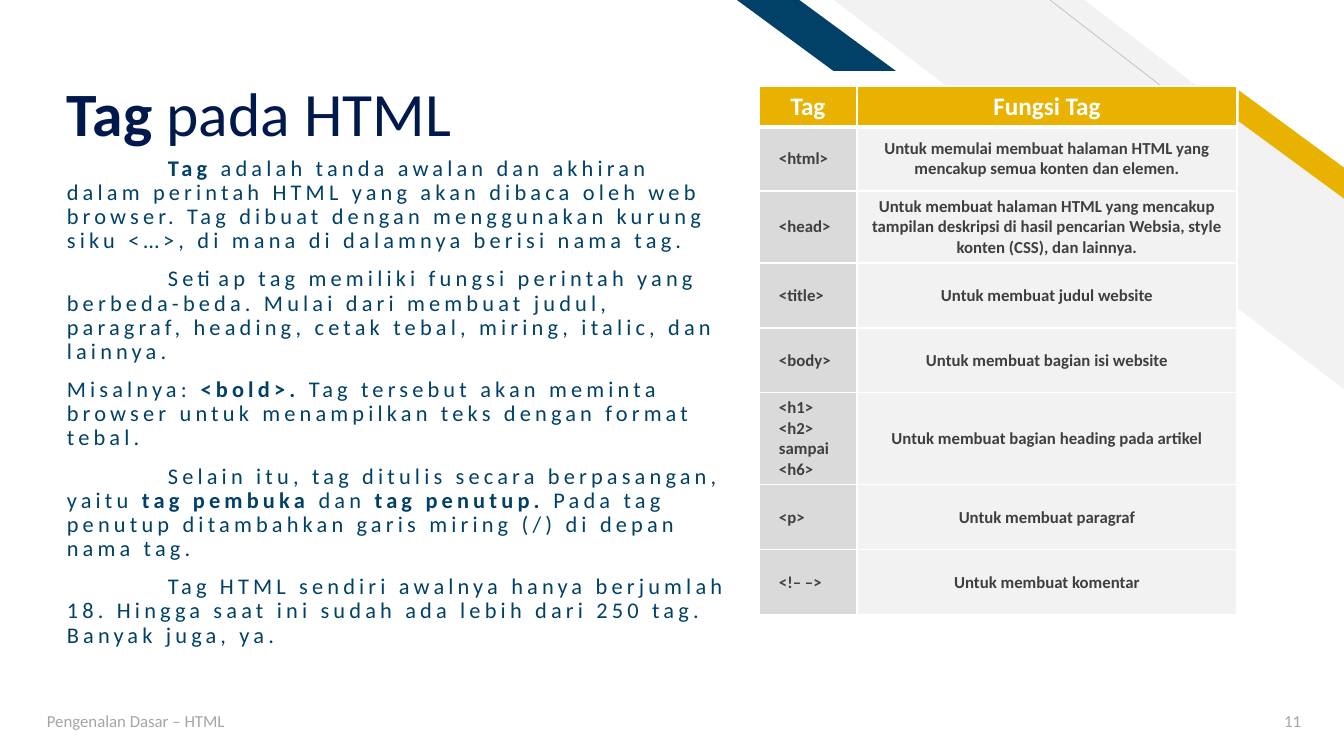
from dataclasses import dataclass

from lxml import etree
from pptx import Presentation
from pptx import util as u
from pptx.dml.color import RGBColor
from pptx.enum import shapes, text
from pptx.oxml.ns import qn

PX = 914400 / 100.8


@dataclass(frozen=True)
class Theme:
    font: str = "Calibri"
    navy: str = "00194C"
    blue: str = "014067"
    gold: str = "EAB200"
    pale: str = "F2F2F2"
    tag_fill: str = "DADADA"
    hairline: str = "BFBFBF"
    cell_text: str = "3F3F3F"
    muted: str = "A5A5A5"
    white: str = "FFFFFF"
    title_size: int = 44
    body_size: int = 16
    head_size: int = 18
    small_size: int = 12


THEME = Theme()
PAGE_SIZE = (1344, 756)
TITLE = [("Tag ", True), ("pada HTML", False)]
BODY = [
    (101, [("Tag ", True),
           ("adalah tanda awalan dan akhiran dalam perintah HTML yang akan dibaca oleh web browser. "
            "Tag dibuat dengan menggunakan kurung siku <…>, di mana di dalamnya berisi nama tag.", False)]),
    (101, [("Setiap tag memiliki fungsi perintah yang berbeda-beda. Mulai dari membuat judul, paragraf, "
            "heading, cetak tebal, miring, italic, dan lainnya.", False)]),
    (0, [("Misalnya: ", False), ("<bold>. ", True),
         ("Tag tersebut akan meminta browser untuk menampilkan teks dengan format tebal.", False)]),
    (101, [("Selain itu, tag ditulis secara berpasangan, yaitu ", False), ("tag pembuka ", True),
           ("dan", False), (" tag penutup. ", True),
           ("Pada tag penutup ditambahkan garis miring (/) di depan nama tag.", False)]),
    (101, [("Tag HTML sendiri awalnya hanya berjumlah 18. Hingga saat ini sudah ada lebih dari 250 tag. "
            "Banyak juga, ya.", False)]),
]
COLUMNS = [98, 380]
ROWS = [
    (41, "Tag", "Fungsi Tag"),
    (64, "<html>", "Untuk memulai membuat halaman HTML yang mencakup semua konten dan elemen."),
    (72, "<head>", "Untuk membuat halaman HTML yang mencakup tampilan deskripsi di hasil pencarian Websia, "
                   "style konten (CSS), dan lainnya."),
    (65, "<title>", "Untuk membuat judul website"),
    (65, "<body>", "Untuk membuat bagian isi website"),
    (92, "<h1> <h2> sampai <h6>", "Untuk membuat bagian heading pada artikel"),
    (65, "<p>", "Untuk membuat paragraf"),
    (65, "<!– –>", "Untuk membuat komentar"),
]
STRIPES = [
    (shapes.MSO_SHAPE.DIAGONAL_STRIPE, (834, 0, 511, 390), 0.51, 0, THEME.pale),
    (shapes.MSO_SHAPE.PARALLELOGRAM, (1217, 132, 149, 25), 0.72, 36.3, THEME.gold),
    (shapes.MSO_SHAPE.PARALLELOGRAM, (737, 0, 159, 71), 1.36, 0, THEME.blue),
]
HAIRLINE = (1187, 106, 1050, 0)
FOOTERS = [
    ("Pengenalan Dasar – HTML", (37, 701, 454, 40), text.PP_ALIGN.LEFT),
    ("11", (1229, 701, 82, 40), text.PP_ALIGN.RIGHT),
]


def emu(*lengths):
    return [u.Emu(round(length * PX)) for length in lengths]


def rgb(value):
    return RGBColor.from_string(value)


def add_span(para, words, size, color, bold=False):
    span = para.add_run()
    span.text = words
    span.font.name = THEME.font
    span.font.size = u.Pt(size)
    span.font.bold = bold
    span.font.color.rgb = rgb(color)
    return span


def add_box(page, place, anchor=text.MSO_ANCHOR.TOP):
    box = page.shapes.add_textbox(*emu(*place))
    box.text_frame.word_wrap = True
    box.text_frame.vertical_anchor = anchor
    return box.text_frame


def add_stripes(page):
    for kind, place, slant, turn, color in STRIPES:
        stripe = page.shapes.add_shape(kind, *emu(*place))
        stripe.adjustments[0] = slant
        stripe.rotation = turn
        stripe._element.spPr.xfrm.set("flipH", "1")
        stripe.shadow.inherit = False
        stripe.fill.solid()
        stripe.fill.fore_color.rgb = rgb(color)
        stripe.line.fill.background()
        if kind == shapes.MSO_SHAPE.DIAGONAL_STRIPE:
            line = page.shapes.add_connector(shapes.MSO_CONNECTOR.STRAIGHT, *emu(*HAIRLINE))
            line.line.color.rgb = rgb(THEME.hairline)
            line.line.width = u.Pt(0.5)
            etree.SubElement(line._element.spPr, qn("a:effectLst"))


def fill_title(title):
    title.left, title.top, title.width, title.height = emu(57, 23, 918, 127)
    frame = title.text_frame
    frame.auto_size = text.MSO_AUTO_SIZE.NONE
    frame.word_wrap = True
    frame.vertical_anchor = text.MSO_ANCHOR.BOTTOM
    frame.margin_left, frame.margin_top, frame.margin_right, frame.margin_bottom = emu(10, 5, 10, 0)
    para = frame.paragraphs[0]
    para.alignment = text.PP_ALIGN.LEFT
    para.line_spacing = 0.9
    for words, bold in TITLE:
        add_span(para, words, THEME.title_size, THEME.navy, bold)


def add_body(page):
    frame = add_box(page, (57, 152, 686, 537))
    for index, (indent, spans) in enumerate(BODY):
        para = frame.add_paragraph() if index else frame.paragraphs[0]
        para.line_spacing = 0.9
        para.space_before = u.Pt(10)
        para._p.get_or_add_pPr().set("indent", str(emu(indent)[0]))
        for words, bold in spans:
            span = add_span(para, words, THEME.body_size, THEME.blue, bold)
            span.font._element.set("spc", "300")


def add_borders(cell, bottom):
    for side, points in (("L", 1), ("R", 1), ("T", 1), ("B", bottom)):
        edge = etree.SubElement(cell._tc.get_or_add_tcPr(), qn(f"a:ln{side}"), w=str(u.Pt(points)))
        paint = etree.SubElement(edge, qn("a:solidFill"))
        etree.SubElement(paint, qn("a:srgbClr"), val=THEME.white)


def add_tag_table(page):
    heights = [row[0] for row in ROWS]
    place = emu(759, 86, sum(COLUMNS), sum(heights))
    table = page.shapes.add_table(len(ROWS), len(COLUMNS), *place).table
    table.horz_banding = False
    for column, width in zip(table.columns, emu(*COLUMNS)):
        column.width = width
    for row, height in zip(table.rows, emu(*heights)):
        row.height = height
    for r, (_, *words) in enumerate(ROWS):
        for c, label in enumerate(words):
            head, tag = r == 0, r > 0 and c == 0
            cell = table.cell(r, c)
            cell.vertical_anchor = text.MSO_ANCHOR.MIDDLE
            cell.margin_left, cell.margin_right = emu(20 if tag else 10, 10)
            cell.margin_top, cell.margin_bottom = emu(5, 5)
            add_borders(cell, 3 if head else 1)
            cell.fill.solid()
            cell.fill.fore_color.rgb = rgb(THEME.gold if head else THEME.tag_fill if tag else THEME.pale)
            para = cell.text_frame.paragraphs[0]
            para.alignment = text.PP_ALIGN.LEFT if tag else text.PP_ALIGN.CENTER
            size, color = (THEME.head_size, THEME.white) if head else (THEME.small_size, THEME.cell_text)
            add_span(para, label, size, color, True)


def main():
    deck = Presentation()
    deck.slide_width, deck.slide_height = emu(*PAGE_SIZE)
    page = deck.slides.add_slide(deck.slide_layouts[5])
    add_stripes(page)
    fill_title(page.shapes.title)
    add_body(page)
    add_tag_table(page)
    for words, place, alignment in FOOTERS:
        para = add_box(page, place, text.MSO_ANCHOR.MIDDLE).paragraphs[0]
        para.alignment = alignment
        add_span(para, words, THEME.small_size, THEME.muted)
    deck.save("out.pptx")


if __name__ == "__main__":
    main()
